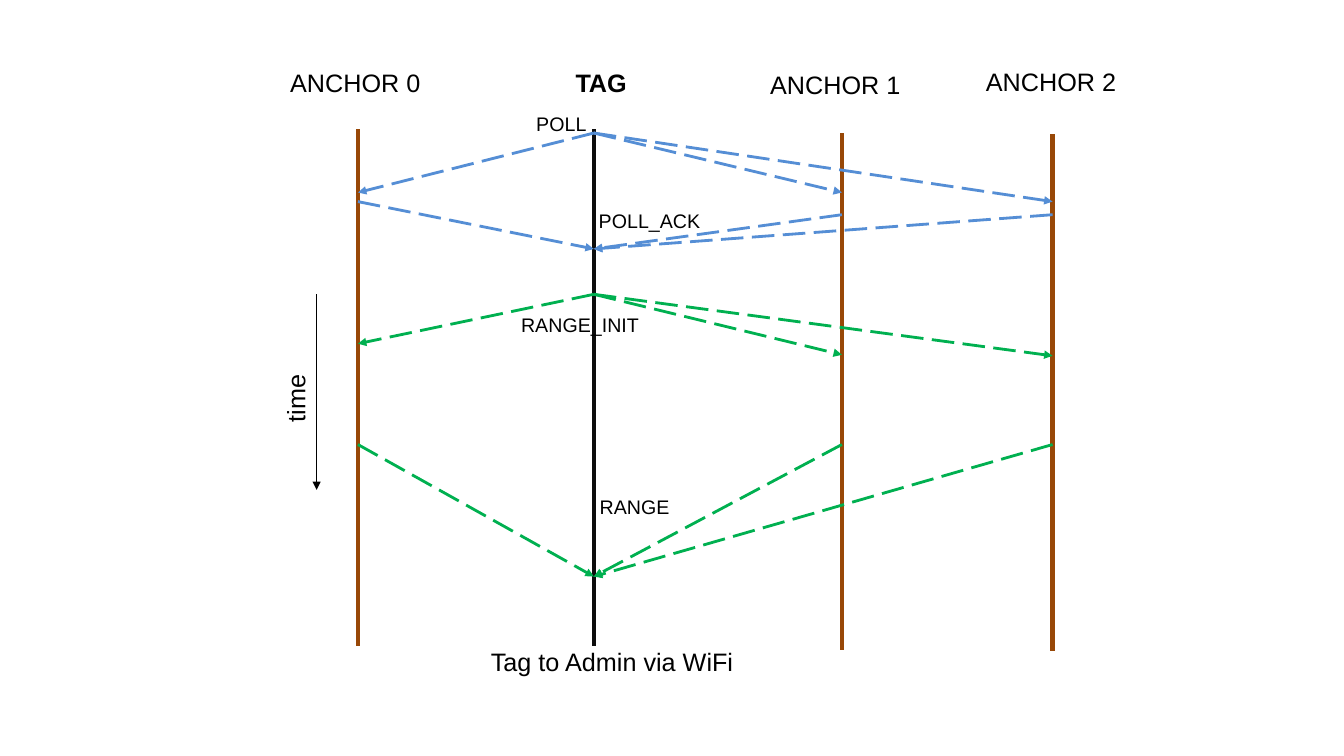
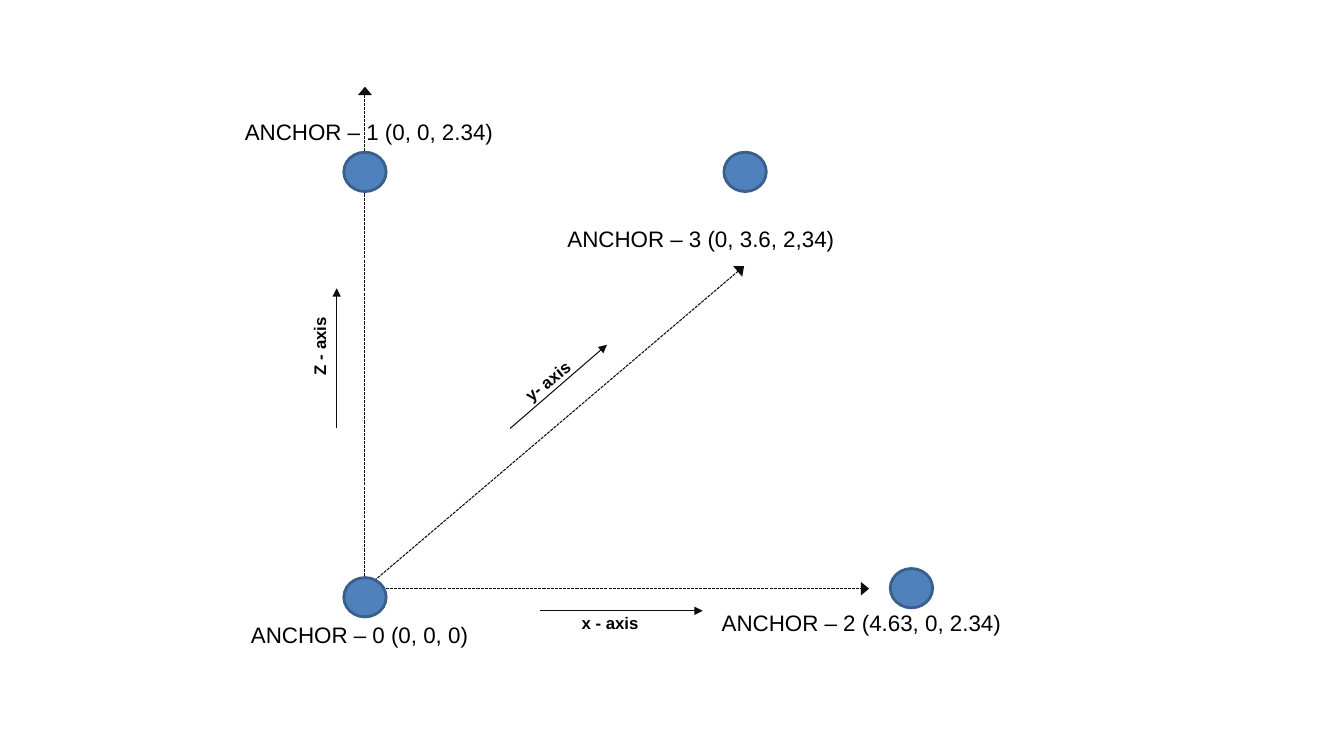
from pptx import Presentation
from pptx.dml.color import RGBColor
from pptx.enum.dml import MSO_LINE
from pptx.enum.shapes import MSO_CONNECTOR, MSO_SHAPE
from pptx.enum.text import MSO_AUTO_SIZE
from pptx.oxml.ns import qn
from pptx.util import Inches, Pt
from lxml.etree import SubElement

FONT = "Arial"
BLACK, INK, WHITE = "000000", "0D0D0D", "FFFFFF"
BROWN, BLUE, GREEN = "984807", "558ED5", "00B050"
NODE_FILL, NODE_LINE = "4F81BD", "3A5F8C"


def color(value):
    return RGBColor.from_string(value)


class Diagram:
    """Holds the shared style and the slide being drawn."""

    def __init__(self):
        self.presentation = Presentation()
        self.presentation.slide_width = Inches(13.33)
        self.presentation.slide_height = Inches(7.5)
        self.slide = None

    def new_slide(self):
        layout = self.presentation.slide_layouts[6]
        self.slide = self.presentation.slides.add_slide(layout)

    def line(self, start, end, stroke=INK, width=0.75, dash=None,
             arrow=True, head_width="med"):
        connector = self.slide.shapes.add_connector(
            MSO_CONNECTOR.STRAIGHT, *map(Inches, start + end))
        connector.line.color.rgb = color(stroke)
        connector.line.width = Pt(width)
        if dash is not None:
            connector.line.dash_style = dash
        properties = connector._element.spPr
        if arrow:
            SubElement(properties.find(qn("a:ln")), qn("a:tailEnd"),
                       type="triangle", w=head_width, len="med")
        SubElement(properties, qn("a:effectLst"))

    def label(self, text, left, top, width, height, size=18, bold=False,
              fill=None, upward=False, rotation=0):
        box = self.slide.shapes.add_textbox(
            *map(Inches, (left, top, width, height)))
        box.rotation = rotation
        if fill:
            box.fill.solid()
            box.fill.fore_color.rgb = color(fill)
        frame = box.text_frame
        frame.word_wrap = True
        frame.auto_size = MSO_AUTO_SIZE.SHAPE_TO_FIT_TEXT
        if upward:
            frame._txBody.bodyPr.set("vert", "vert270")
        paragraph = frame.paragraphs[0]
        paragraph.text = text
        paragraph.font.name = FONT
        paragraph.font.size = Pt(size)
        paragraph.font.bold = bold
        paragraph.font.color.rgb = color(BLACK)

    def node(self, left, top):
        shape = self.slide.shapes.add_shape(
            MSO_SHAPE.OVAL, *map(Inches, (left, top, 0.42, 0.39)))
        shape.shadow.inherit = False
        shape.fill.solid()
        shape.fill.fore_color.rgb = color(NODE_FILL)
        shape.line.color.rgb = color(NODE_LINE)
        shape.line.width = Pt(2)


def message_sequence(diagram):
    diagram.new_slide()
    anchor_0, tag, anchor_1, anchor_2 = 3.55, 5.89, 8.35, 10.44

    # Lifelines
    for x, top, stroke in ((anchor_0, 1.28, BROWN), (tag, 1.28, INK),
                           (anchor_1, 1.32, BROWN), (anchor_2, 1.33, BROWN)):
        diagram.line((x, top), (x, top + 5.13), stroke, 3, arrow=False)

    # Messages: the tag sends to every anchor, then every anchor replies
    exchanges = (
        (BLUE, 1.32, 2.47, ((anchor_1, 1.91, 2.13), (anchor_2, 2, 2.13),
                            (anchor_0, 1.91, 2))),
        (GREEN, 2.92, 5.72, ((anchor_1, 3.52, 4.41), (anchor_2, 3.53, 4.41),
                             (anchor_0, 3.41, 4.41))),
    )
    for stroke, sent, answered, anchors in exchanges:
        for x, received, replied in anchors:
            for start, end in (((tag, sent), (x, received)),
                               ((x, replied), (tag, answered))):
                diagram.line(start, end, stroke, 2, MSO_LINE.LONG_DASH)

    # Headings and caption
    diagram.label("ANCHOR 0", 2.78, 0.62, 1.78, 0.4)
    diagram.label("TAG", 5.61, 0.62, 0.83, 0.4, bold=True)
    diagram.label("ANCHOR 1", 7.54, 0.64, 1.78, 0.4)
    diagram.label("ANCHOR 2", 9.68, 0.61, 1.78, 0.4, fill=WHITE)
    diagram.label("Tag to Admin via WiFi", 4.77, 6.36, 2.78, 0.4)

    # Message names
    for text, left, top, width in (
            ("POLL", 5.22, 1.06, 1.05), ("POLL_ACK", 5.84, 2.02, 1.44),
            ("RANGE_INIT", 5.07, 3.06, 1.44), ("RANGE", 5.85, 4.86, 1.44)):
        diagram.label(text, left, top, width, 0.34, size=14)

    # Time arrow
    diagram.line((3.14, 2.92), (3.14, 4.86), BLACK, 1.25)
    diagram.label("time", 2.73, 3.28, 0.5, 1.01, upward=True)


def anchor_positions(diagram):
    diagram.new_slide()

    # Dashed axes
    origin = (3.62, 5.84)
    for end in ((3.62, 0.86), (7.38, 2.64), (8.62, 5.84)):
        diagram.line(origin, end, dash=MSO_LINE.SQUARE_DOT, head_width="lg")

    # Direction arrows and axis names
    for start, end in (((5.36, 6.06), (6.97, 6.06)),
                       ((5.06, 4.25), (6.02, 3.42)),
                       ((3.34, 4.25), (3.34, 2.86))):
        diagram.line(start, end)
    diagram.label("Z - axis", 3.02, 2.61, 0.4, 1.21, 12, True, upward=True)
    diagram.label("x - axis", 5.67, 6.03, 1.03, 0.3, 12, True)
    diagram.label("y- axis", 5.02, 3.48, 1.19, 0.3, 12, True, rotation=320.9)

    # Anchors with their coordinates
    for text, left, top, width in (
            ("ANCHOR – 0 (0, 0, 0)", 2.39, 6.11, 3.45),
            ("ANCHOR – 1 (0, 0, 2.34)", 2.33, 1.12, 3.3),
            ("ANCHOR – 2 (4.63, 0, 2.34)", 7.06, 5.99, 3.3),
            ("ANCHOR – 3 (0, 3.6, 2,34)", 5.53, 2.18, 3.3)):
        diagram.label(text, left, top, width, 0.37, size=16)
    for left, top in ((7.18, 1.51), (8.83, 5.64), (3.41, 5.73), (3.41, 1.51)):
        diagram.node(left, top)


def main():
    diagram = Diagram()
    message_sequence(diagram)
    anchor_positions(diagram)
    diagram.presentation.save("out.pptx")


if __name__ == "__main__":
    main()
